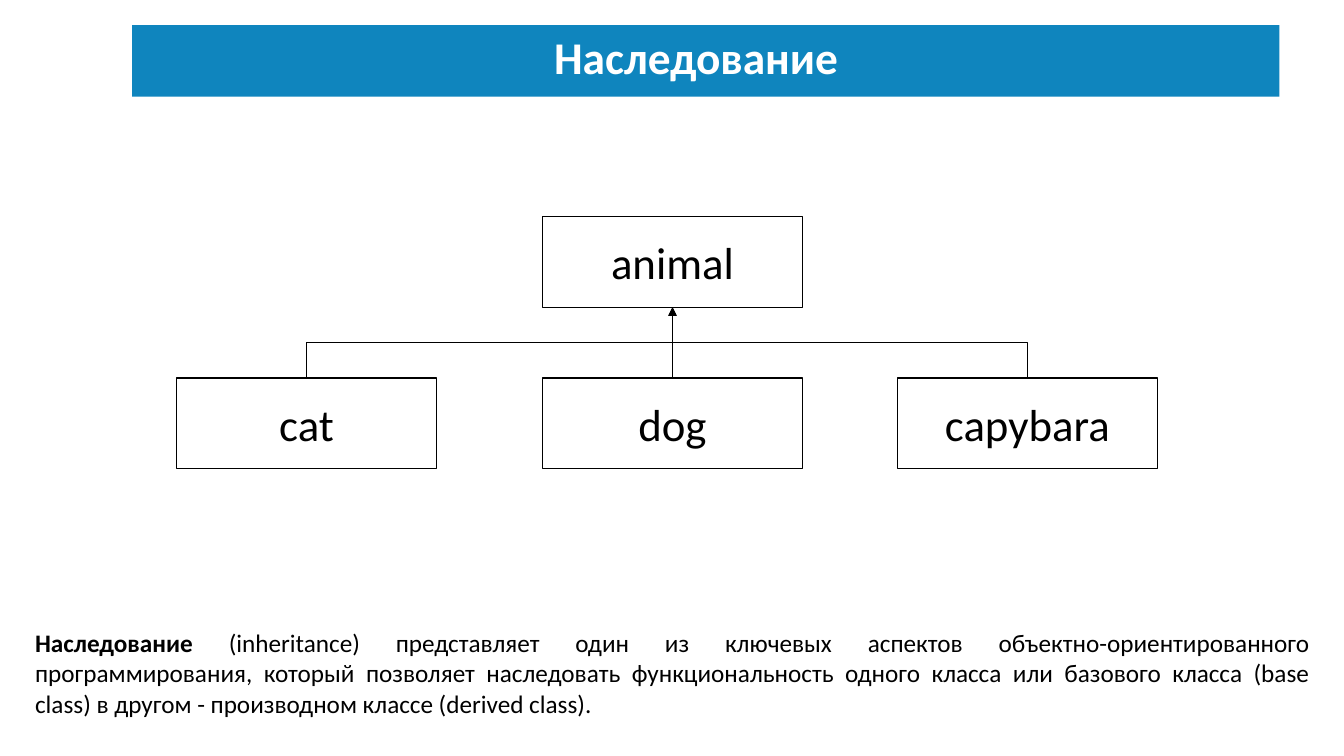
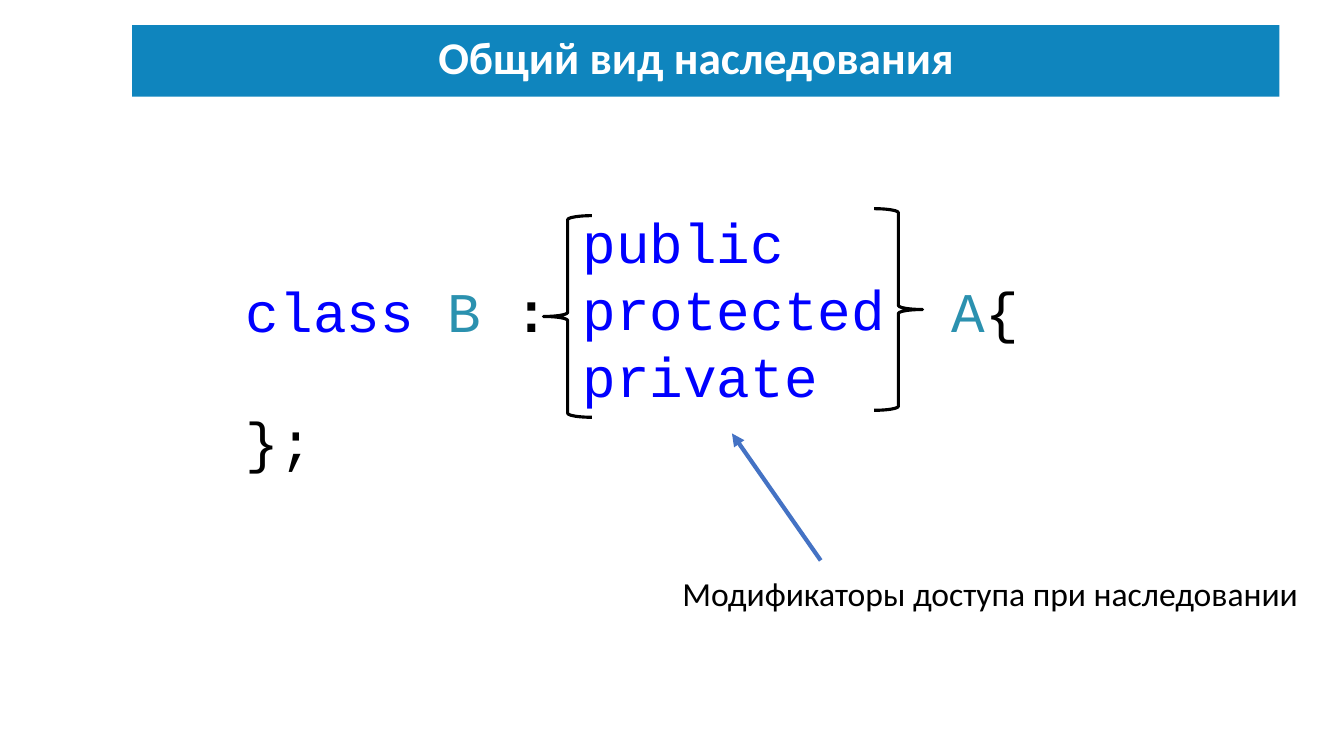
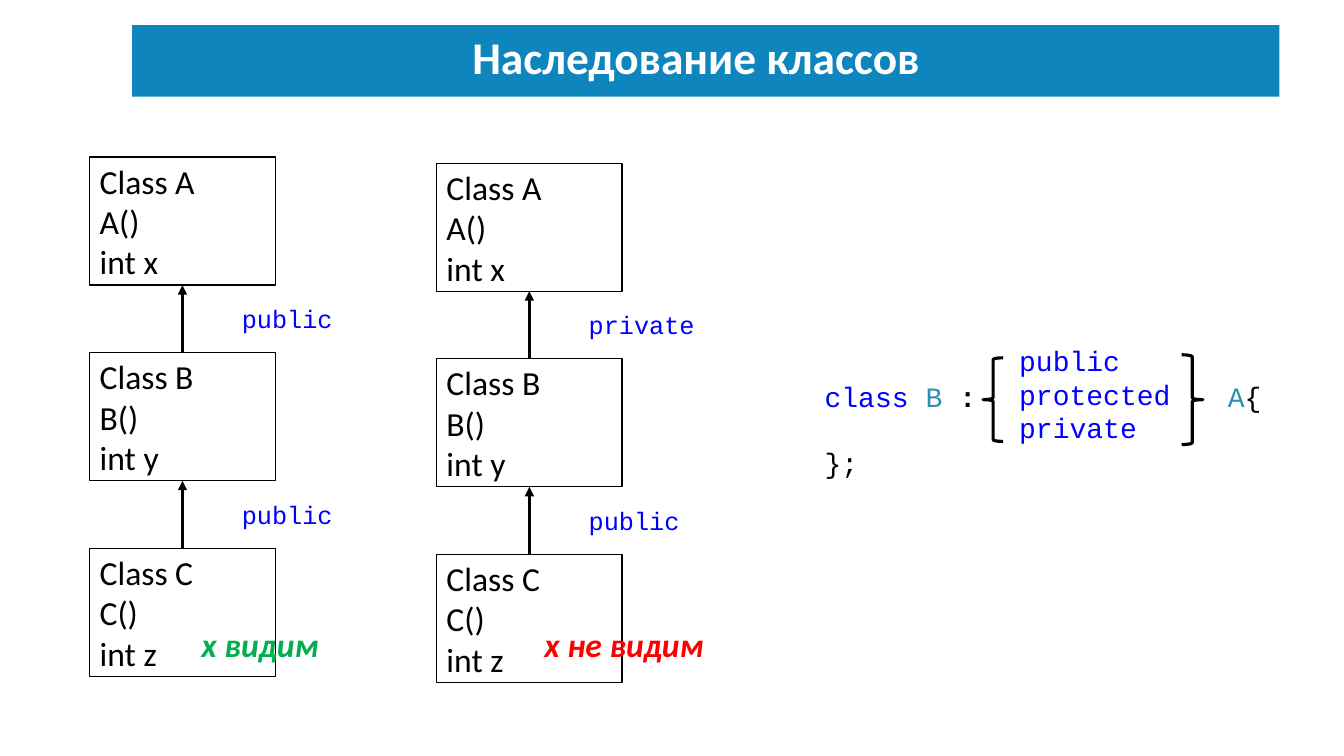
from lxml import etree
from pptx import Presentation
from pptx.dml.color import RGBColor
from pptx.enum.shapes import MSO_CONNECTOR, MSO_SHAPE
from pptx.enum.text import MSO_ANCHOR, PP_ALIGN
from pptx.oxml.ns import qn
from pptx.util import Inches, Pt

RECT, BRACE = MSO_SHAPE.RECTANGLE, MSO_SHAPE.LEFT_BRACE
STRAIGHT, ELBOW = MSO_CONNECTOR.STRAIGHT, MSO_CONNECTOR.ELBOW
TOP, MIDDLE = MSO_ANCHOR.TOP, MSO_ANCHOR.MIDDLE
LEFT, CENTER, JUSTIFY = PP_ALIGN.LEFT, PP_ALIGN.CENTER, PP_ALIGN.JUSTIFY

SANS, MONO = "Calibri", "Courier New"
BAND, WHITE, BLACK = "0F85BE", "FFFFFF", "000000"
KEYWORD, TYPE, ARROW = "0000FF", "2B91AF", "4472C4"
GREEN, RED = "00B050", "FF0000"


def rgb(value):
    return RGBColor.from_string(value)


# Shared parts
def write(sp, paragraphs, size, color=BLACK, font=SANS, align=LEFT,
          anchor=TOP, bold=False, italic=False, wrap=True):
    """Each paragraph is a string or a list of (text, color, bold) runs."""
    tf = sp.text_frame
    tf.word_wrap = wrap
    tf.vertical_anchor = anchor
    for i, content in enumerate(paragraphs):
        p = tf.paragraphs[0] if i == 0 else tf.add_paragraph()
        p.alignment = align
        p.font.name, p.font.size = font, Pt(size)
        if isinstance(content, str):
            p.font.bold, p.font.italic = bold, italic
            p.font.color.rgb = rgb(color)
            p.add_run().text = content
        else:
            for text, run_color, run_bold in content:
                r = p.add_run()
                r.text = text
                r.font.bold = run_bold
                r.font.color.rgb = rgb(run_color)
    return tf


def add_text(s, box, paragraphs, size, **style):
    return write(s.shapes.add_textbox(*map(Inches, box)), paragraphs, size, **style)


def add_shape(s, kind, box, fill=None, line=None, width=1):
    sp = s.shapes.add_shape(kind, *map(Inches, box))
    sp.shadow.inherit = False
    if fill:
        sp.fill.solid()
        sp.fill.fore_color.rgb = rgb(fill)
    else:
        sp.fill.background()
    if line:
        sp.line.color.rgb = rgb(line)
        sp.line.width = Pt(width)
    else:
        sp.line.fill.background()
    return sp


def add_arrow(s, start, end, width, color=BLACK, kind=STRAIGHT):
    c = s.shapes.add_connector(kind, *map(Inches, (*start, *end)))
    c.line.color.rgb = rgb(color)
    c.line.width = Pt(width)
    etree.SubElement(c.line._get_or_add_ln(), qn("a:tailEnd"), type="triangle")
    etree.SubElement(c.element.spPr, qn("a:effectLst"))
    return c


def add_vertical_elbow(s, start, end, width):
    """Elbow that leaves and arrives vertically: a quarter-turned connector."""
    mid_x, mid_y = (start[0] + end[0]) / 2, (start[1] + end[1]) / 2
    half_x, half_y = end[0] - mid_x, end[1] - mid_y
    turn = 1 if half_x > 0 else -1
    off_x, off_y = -turn * half_y, turn * half_x
    c = add_arrow(s, (mid_x + off_x, mid_y + off_y),
                  (mid_x - off_x, mid_y - off_y), width, kind=ELBOW)
    angle = 90 if turn > 0 else 270
    c.element.spPr.find(qn("a:xfrm")).set("rot", str(angle * 60000))


def titled_slide(prs, title):
    s = prs.slides.add_slide(prs.slide_layouts[6])
    add_shape(s, RECT, (1.31, 0.25, 11.38, 0.71), fill=BAND)
    tf = add_text(s, (1.31, 0.32, 11.19, 0.55), [title], 32.4, color=WHITE,
                  align=CENTER, anchor=MIDDLE, bold=True)
    tf.paragraphs[0].line_spacing = 0.9
    return s


def class_syntax(s, box, size, tab, modifiers_box, left_brace, right_brace):
    """Class declaration; the other boxes are offset from its top left corner."""
    x, y = box[:2]

    def inside(part):
        return (x + part[0], y + part[1], *part[2:])

    declaration = [("class ", KEYWORD, False), ("B ", TYPE, False),
                   (":\t", BLACK, True), ("A", TYPE, False), ("{", BLACK, False)]
    tf = add_text(s, box, [declaration, "};"], size, font=MONO)
    head, tail = tf.paragraphs
    stops = etree.Element(qn("a:tabLst"))
    etree.SubElement(stops, qn("a:tab"), pos=str(Inches(tab)), algn="l")
    head._p.get_or_add_pPr().find(qn("a:defRPr")).addprevious(stops)
    tail.space_before = Pt(round(size * 1.13))

    add_text(s, inside(modifiers_box), ["public", "protected", "private"], size,
             color=KEYWORD, font=MONO)
    for brace, angle in ((left_brace, 0), (right_brace, 180)):
        sp = add_shape(s, BRACE, inside(brace), line=BLACK, width=2.25)
        sp.rotation = angle


# Slide 1: hierarchy
def animal_tree(s, x, y):
    w, h, drop = 2.58, 0.9, 1.6

    def node(name, left, top):
        sp = add_shape(s, RECT, (left, top, w, h), line=BLACK)
        write(sp, [name], 32, align=CENTER, anchor=MIDDLE)

    parent_x = x + 3.63
    node("animal", parent_x, y)
    target = (parent_x + w / 2, y + h)
    for name, left in (("cat", x), ("dog", parent_x), ("capybara", x + 7.15)):
        node(name, left, y + drop)
        start = (left + w / 2, y + drop)
        if left == parent_x:
            add_arrow(s, start, target, 0.5)
        else:
            add_vertical_elbow(s, start, target, 0.5)


def inheritance_slide(prs):
    s = titled_slide(prs, "Наследование")
    definition = [
        ("Наследование", BLACK, True),
        (" (inheritance) представляет один из ключевых аспектов "
         "объектно-ориентированного программирования, который позволяет "
         "наследовать функциональность одного класса или базового класса "
         "(base class) в другом - производном классе (derived class).", BLACK, False)]
    add_text(s, (0.25, 6.17, 12.84, 1.01), [definition], 18,
             align=JUSTIFY, anchor=MIDDLE)
    animal_tree(s, 1.75, 2.15)


# Slide 2: general syntax
def syntax_slide(prs):
    s = titled_slide(prs, "Общий вид наследования")
    class_syntax(s, (2.34, 2.69, 8.22, 2.12), 40, 7, (3.34, -0.68, 3.72, 2.12),
                 (3.05, -0.55, 0.48, 2), (6.33, -0.62, 0.48, 2))
    add_text(s, (6.67, 5.63, 6.43, 0.5), ["Модификаторы доступа при наследовании"], 24)
    add_arrow(s, (8.14, 5.56), (7.26, 4.3), 3, color=ARROW)


# Slide 3: class chains
def class_chain(s, x, y, modifiers):
    w, h, pitch = 1.84, 1.27, 1.94
    for i, (name, field) in enumerate(zip("ABC", "xyz")):
        top = y + i * pitch
        sp = add_shape(s, RECT, (x, top, w, h), line=BLACK)
        write(sp, [f"Class {name}", f"{name}()", f"int {field}"], 24, anchor=MIDDLE)
    for i, modifier in enumerate(modifiers):
        top = y + i * pitch
        add_arrow(s, (x + w / 2, top + pitch), (x + w / 2, top + h), 2.25)
        add_text(s, (x + 1.41, top + 1.4, 0.3 + 0.15 * len(modifier), 0.4),
                 [modifier], 18, color=KEYWORD, font=MONO)


def classes_slide(prs):
    s = titled_slide(prs, "Наследование классов")
    class_chain(s, 0.89, 1.56, ["public", "public"])
    class_chain(s, 4.33, 1.62, ["private", "public"])
    for x, w, verdict, color in ((1.9, 1.37, "x видим", GREEN),
                                 (5.3, 1.8, "x не видим", RED)):
        add_text(s, (x, 6.14, w, 0.5), [verdict], 24, color=color,
                 bold=True, italic=True, wrap=False)
    class_syntax(s, (8.08, 3.72, 5.59, 1.11), 20, 4, (1.93, -0.36, 1.7, 1.11),
                 (1.67, -0.17, 0.2, 0.83), (3.64, -0.2, 0.21, 0.89))


prs = Presentation()
prs.slide_width, prs.slide_height = Inches(13.33), Inches(7.5)
inheritance_slide(prs)
syntax_slide(prs)
classes_slide(prs)
prs.save("out.pptx")
